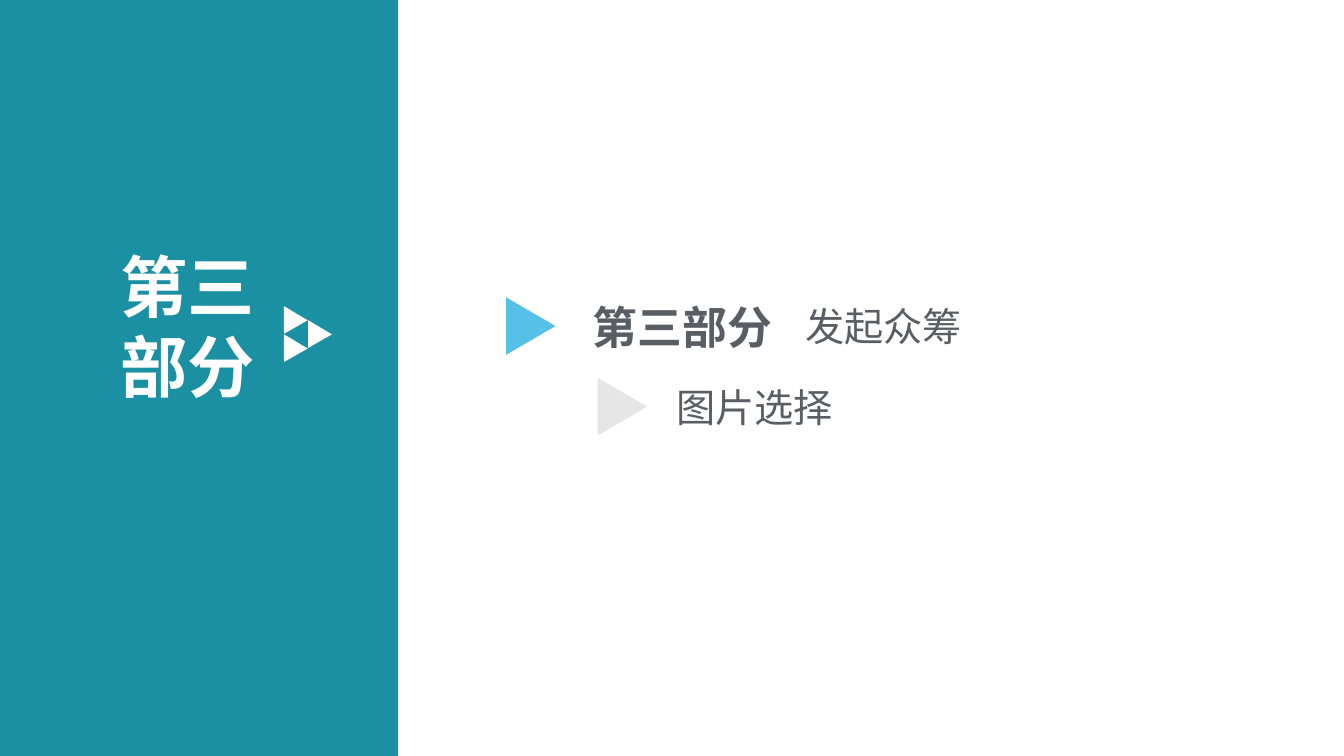
from lxml.etree import SubElement
from pptx import Presentation
from pptx.dml.color import RGBColor
from pptx.enum.shapes import MSO_SHAPE as SHAPE
from pptx.enum.text import MSO_AUTO_SIZE as AUTO_SIZE
from pptx.oxml.ns import qn
from pptx.util import Inches, Pt

FONT = "Noto Sans CJK SC"
COLORS = {"teal": "1B90A2", "white": "FFFFFF", "blue": "55C1E7",
          "light": "E7E6E6", "gray": "595E64"}

# text, (left, top, width, height), size, color, bold
TEXTS = [
    ("第三部分", (1.1, 2.38, 1.74, 1.72), 48, "white", True),
    ("第三部分", (5.78, 2.92, 2.11, 0.64), 32, "gray", True),
    ("发起众筹", (7.89, 2.95, 4, 0.57), 28, "gray", False),
    ("图片选择", (6.61, 3.75, 4, 0.57), 28, "gray", False),
]
# (left, top) before rotation, color
BULLETS = [((4.98, 2.99), "blue"), ((5.89, 3.79), "light")]
BULLET_SIZE = (0.57, 0.49)

# The emblem: two triangles stacked, a third to the right between them
EMBLEM_LEFT, EMBLEM_TOP = 2.74, 3.02
EMBLEM_STEPS = [(0, 0), (0, 2), (1, 1)]
STEP_X, STEP_Y = 0.24, 0.14
EMBLEM_SIZE = (0.27, 0.24)


def add_filled(slide, kind, box, color, rotation=0):
    sp = slide.shapes.add_shape(kind, *map(Inches, box))
    sp.shadow.inherit = False
    sp.fill.solid()
    sp.fill.fore_color.rgb = RGBColor.from_string(COLORS[color])
    sp.line.fill.background()
    sp.rotation = rotation


def add_text(slide, text, box, size, color, bold):
    tf = slide.shapes.add_textbox(*map(Inches, box)).text_frame
    tf.word_wrap = True
    tf.auto_size = AUTO_SIZE.SHAPE_TO_FIT_TEXT
    r = tf.paragraphs[0].add_run()
    r.text = text
    r.font.size = Pt(size)
    r.font.bold = bold
    r.font.name = FONT
    r.font.color.rgb = RGBColor.from_string(COLORS[color])
    SubElement(r.font._element, qn("a:ea"), typeface=FONT)


def main():
    prs = Presentation()
    prs.slide_width, prs.slide_height = Inches(13.33), Inches(7.5)
    slide = prs.slides.add_slide(prs.slide_layouts[6])

    add_filled(slide, SHAPE.RECTANGLE, (0, 0, 3.95, 7.5), "teal")
    for col, row in EMBLEM_STEPS:
        corner = (EMBLEM_LEFT + col * STEP_X, EMBLEM_TOP + row * STEP_Y)
        add_filled(slide, SHAPE.ISOSCELES_TRIANGLE, corner + EMBLEM_SIZE, "white", 330.2)
    for corner, color in BULLETS:
        add_filled(slide, SHAPE.ISOSCELES_TRIANGLE, corner + BULLET_SIZE, color, 90)
    for item in TEXTS:
        add_text(slide, *item)

    prs.save("out.pptx")


if __name__ == "__main__":
    main()
